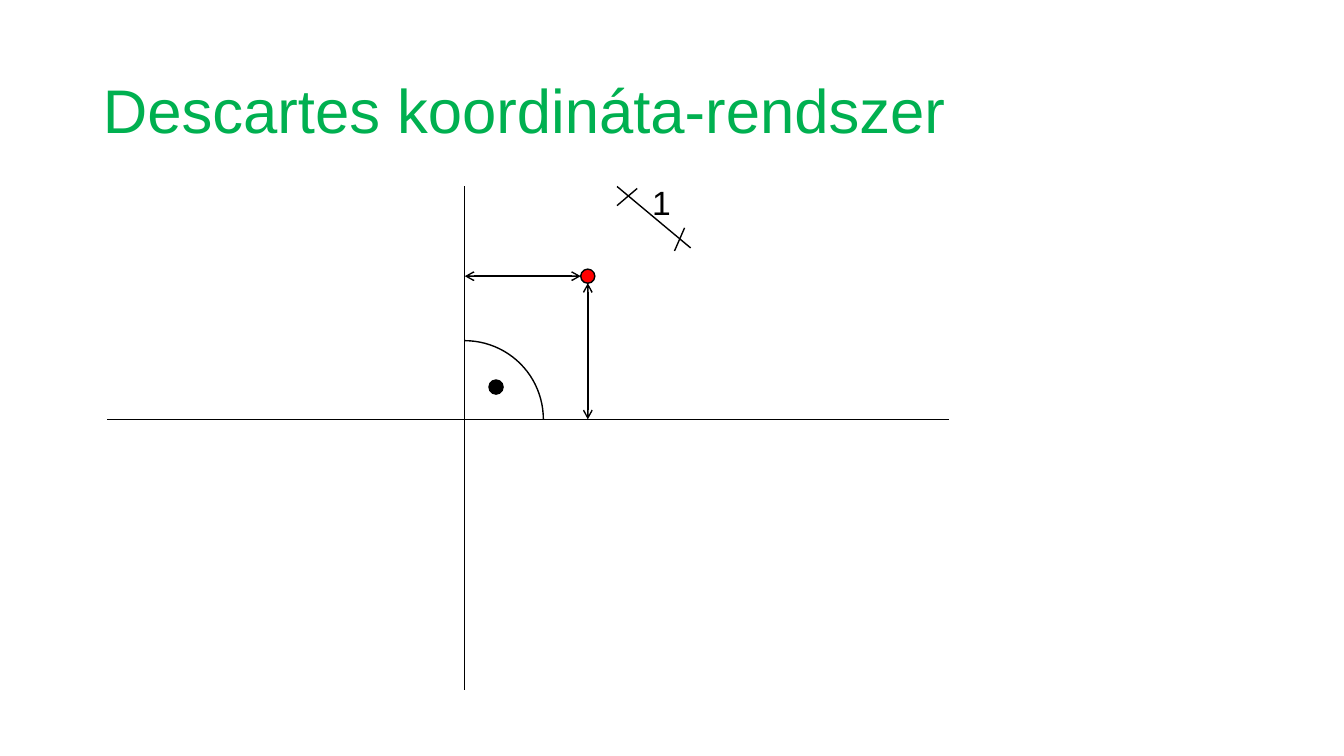
from lxml import etree
from pptx import Presentation
from pptx import util as u
from pptx.dml.color import RGBColor
from pptx.enum import shapes, text
from pptx.oxml.ns import qn

PX = 9144
BLACK, RED, GREEN = "000000", "FF0000", "00B050"


def px(*lengths):
    """Turn px lengths into EMU."""
    return [u.Emu(length * PX) for length in lengths]


def color(value):
    """Turn a hex string into a colour."""
    return RGBColor.from_string(value)


def set_values(target, values):
    """Set attributes from a dict of format values."""
    for name, value in values.items():
        setattr(target, name, value)


def write(box, words, size, ink, **paragraph_values):
    """Write one formatted paragraph in a text shape."""
    para = box.text_frame.paragraphs[0]
    set_values(para, {"alignment": text.PP_ALIGN.LEFT, **paragraph_values})
    span = para.add_run()
    span.text = words
    set_values(span.font, {"name": "Arial", "size": u.Pt(size)})
    span.font.color.rgb = color(ink)


def outline(shape):
    """Give a shape or connector a thin black line."""
    shape.line.color.rgb = color(BLACK)
    shape.line.width = u.Pt(1)


def draw_line(page, x1, y1, x2, y2, arrows=False):
    """Draw a straight line, with open arrows at both ends if asked."""
    line = page.shapes.add_connector(
        shapes.MSO_CONNECTOR.STRAIGHT, *px(x1, y1, x2, y2))
    outline(line)
    if arrows:
        stroke = line.line._get_or_add_ln()
        for end in ("a:headEnd", "a:tailEnd"):
            etree.SubElement(stroke, qn(end), type="arrow")
    etree.SubElement(line._element.spPr, qn("a:effectLst"))


def draw_round(page, kind, x, y, radius, fill=None):
    """Draw a round shape about its centre."""
    shape = page.shapes.add_shape(
        kind, *px(x - radius, y - radius, 2 * radius, 2 * radius))
    shape.shadow.inherit = False
    outline(shape)
    if fill:
        shape.fill.solid()
        shape.fill.fore_color.rgb = color(fill)
    else:
        shape.fill.background()


def add_title(page, box, words):
    """Place and format the title."""
    title = page.shapes.title
    set_values(title, dict(zip(("left", "top", "width", "height"), px(*box))))
    set_values(title.text_frame, {
        "vertical_anchor": text.MSO_ANCHOR.MIDDLE, "word_wrap": True})
    write(title, words, 44, GREEN, line_spacing=0.9)


def add_axes(page, box):
    """Draw the axes, the right angle and a point with its distances."""
    left, top, width, height = box
    origin_x, origin_y = left + 355, top + 231
    point_x, point_y = origin_x + 122, origin_y - 142
    dot = 7
    draw_line(page, origin_x, top, origin_x, top + height)
    draw_line(page, left + width, origin_y, left, origin_y)
    draw_round(page, shapes.MSO_SHAPE.ARC, origin_x, origin_y, 78)
    draw_round(page, shapes.MSO_SHAPE.OVAL,
               origin_x + 31, origin_y - 32, dot, BLACK)
    draw_round(page, shapes.MSO_SHAPE.OVAL, point_x, point_y, dot, RED)
    draw_line(page, point_x - dot, point_y, origin_x, point_y, True)
    draw_line(page, point_x, point_y + dot, point_x, origin_y, True)


def add_unit(page, box):
    """Draw the unit length with its end ticks and label."""
    left, top, width, height = box
    draw_line(page, left, top, left + width, top + height)
    draw_line(page, left, top + 19, left + 20, top + 2)
    draw_line(page, left + 57, top + 64, left + 67, top + 41)
    label = page.shapes.add_textbox(*px(left + 25, top - 9, 49, 51))
    set_values(label.text_frame, {
        "word_wrap": True, "auto_size": text.MSO_AUTO_SIZE.SHAPE_TO_FIT_TEXT})
    write(label, "1", 24, BLACK)


def main():
    """Build the slide and save it."""
    deck = Presentation()
    deck.slide_width, deck.slide_height = u.Inches(13.33), u.Inches(7.5)
    page = deck.slides.add_slide(deck.slide_layouts[5])
    add_title(page, (92, 40, 1150, 145), "Descartes koordináta-rendszer")
    add_axes(page, (106, 185, 835, 500))
    add_unit(page, (612, 185, 73, 61))
    deck.save("out.pptx")


if __name__ == "__main__":
    main()
